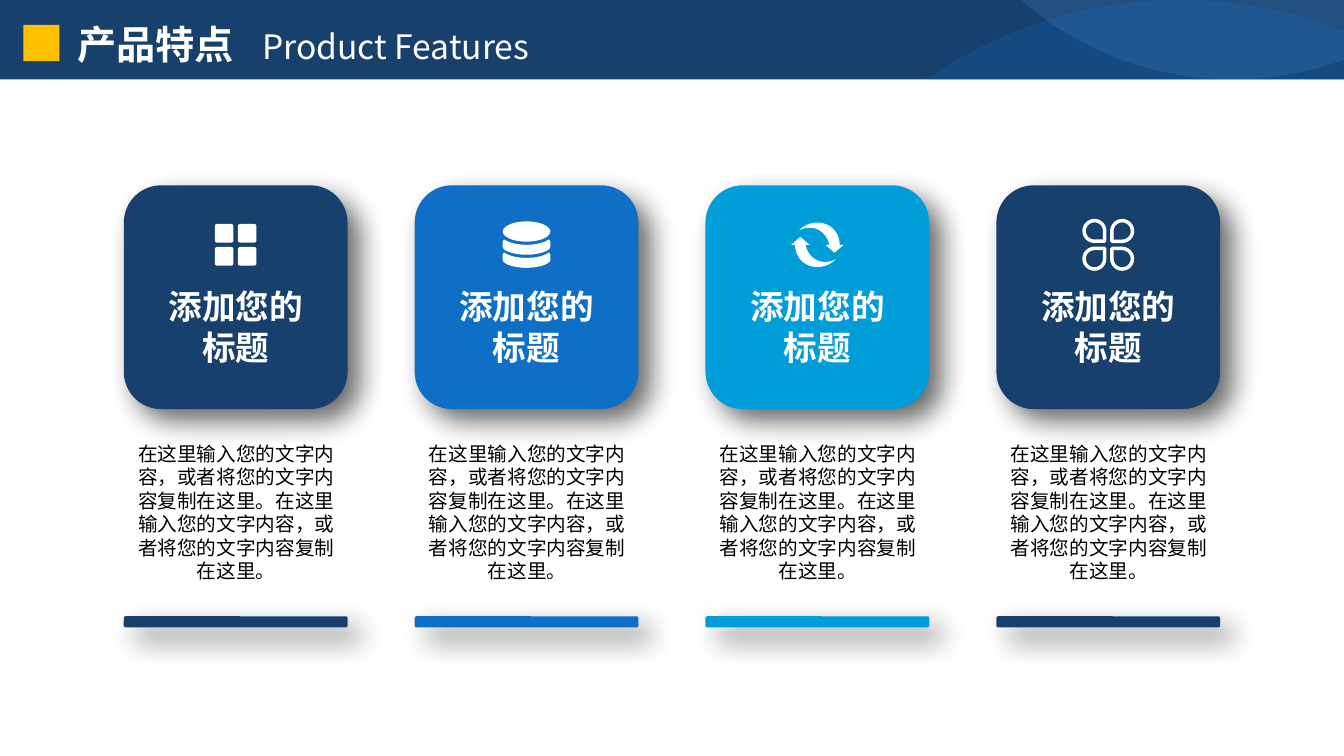
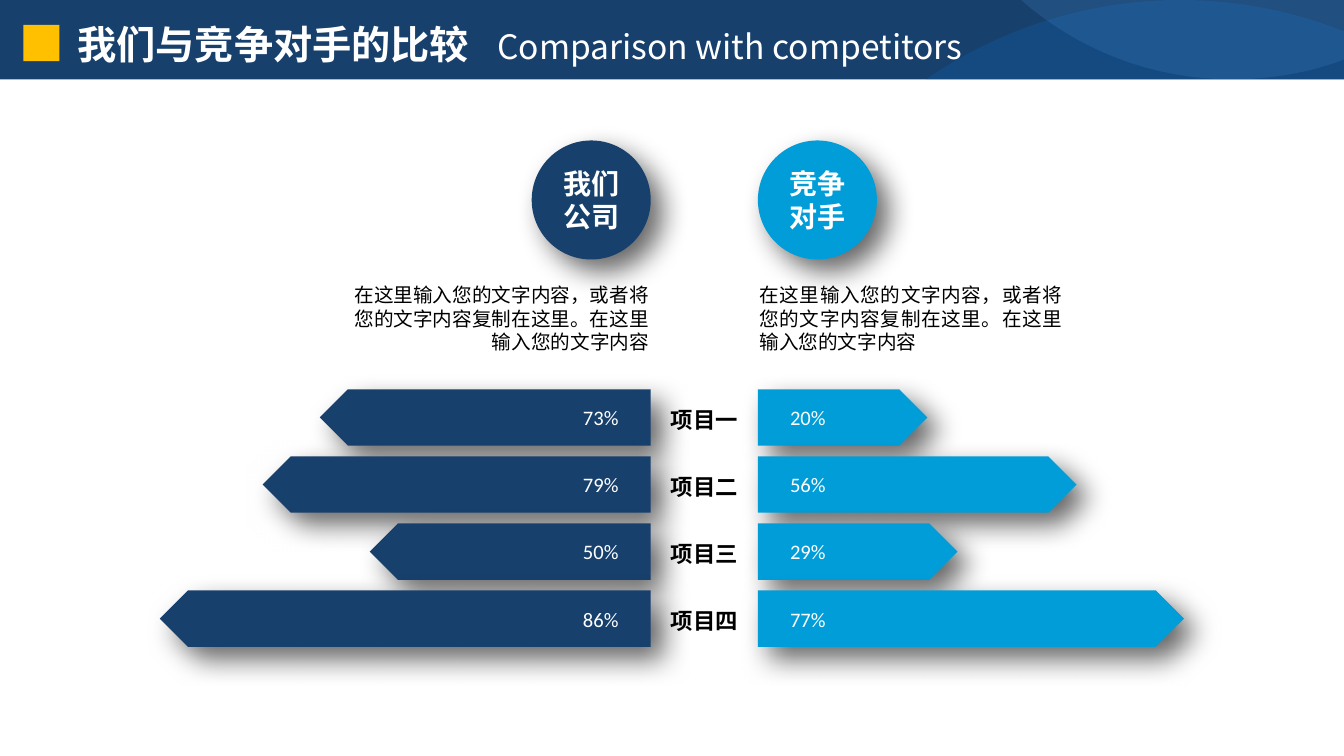
from lxml.etree import SubElement
from pptx import Presentation
from pptx.dml.color import RGBColor as RGB
from pptx.enum.shapes import MSO_SHAPE as SHAPE
from pptx.enum.text import MSO_ANCHOR as ANCHOR, MSO_AUTO_SIZE as AUTO, PP_ALIGN as ALIGN
from pptx.oxml.ns import qn
from pptx.util import Cm, Pt

C = {
    "navy": "17406D", "blue": "0F6FC6", "cyan": "009DD9", "pale": "59AAF2",
    "gold": "FFC000", "white": "FFFFFF", "black": "000000",
}
CJK, LATIN = "Noto Sans CJK SC", "Calibri"
SLIDE_W, SLIDE_H, BAND_H = 33.87, 19.05, 2
LINE = 1.2  # line pitch in text sizes
PHRASE = "在这里输入您的文字内容，或者将您的文字内容复制在这里。"


# --- Text ---
def add_run(p, text, size=14, color="black", bold=False, font=CJK):
    r = p.add_run()
    r.text = text
    r.font.size, r.font.bold, r.font.name = Pt(size), bold, font
    r.font.color.rgb = RGB.from_string(C[color])
    SubElement(r.font._element, qn("a:ea")).set("typeface", font)
    return r


def add_text(s, box, text, align=ALIGN.LEFT, size=14, **fmt):
    """Place text in a box (left, top, width, height); each line is a paragraph."""
    tf = s.shapes.add_textbox(*map(Cm, box)).text_frame
    tf.word_wrap = True
    for i, line in enumerate(text.split("\n")):
        p = tf.add_paragraph() if i else tf.paragraphs[0]
        p.alignment, p.line_spacing = align, Pt(round(size * LINE, 1))
        add_run(p, line, size=size, **fmt)
    return tf


# --- Shapes ---
def paint(sp, color, alpha=None, shadow=False):
    sp.fill.solid()
    sp.fill.fore_color.rgb = RGB.from_string(C[color])
    sp.line.fill.background()
    sp.shadow.inherit = False
    spPr = sp.element.spPr
    if alpha is not None:
        clr = spPr.find(qn("a:solidFill")).find(qn("a:srgbClr"))
        SubElement(clr, qn("a:alpha")).set("val", str(alpha * 1000))
    if shadow:
        outer = SubElement(spPr.find(qn("a:effectLst")), qn("a:outerShdw"))
        for key, val in (("blurRad", Pt(20)), ("dist", Pt(12)), ("dir", 45 * 60000),
                         ("algn", "tl"), ("rotWithShape", 0)):
            outer.set(key, str(val))
        clr = SubElement(outer, qn("a:srgbClr"))
        clr.set("val", C["black"])
        SubElement(clr, qn("a:alpha")).set("val", "60000")
    return sp


def add_shape(shapes, kind, box, color, **look):
    return paint(shapes.add_shape(kind, *map(Cm, box)), color, **look)


def outline(path, steps=16):
    """Turn 2-number line points and 6-number curve segments into points."""
    points = [path[0]]
    for seg in path[1:]:
        if len(seg) == 2:
            points.append(seg)
            continue
        x0, y0 = points[-1]
        x1, y1, x2, y2, x3, y3 = seg
        for i in range(1, steps + 1):
            t = i / steps
            a, b, c, d = (1 - t) ** 3, 3 * t * (1 - t) ** 2, 3 * t * t * (1 - t), t ** 3
            points.append((a * x0 + b * x1 + c * x2 + d * x3,
                           a * y0 + b * y1 + c * y2 + d * y3))
    return points


def add_outline(shapes, path, color, x=0, y=0, sign=1, alpha=None):
    points = [(Cm(x + sign * px), Cm(y + sign * py)) for px, py in outline(path)]
    builder = shapes.build_freeform(*points[0], scale=1.0)
    builder.add_line_segments(points[1:], close=True)
    return paint(builder.convert_to_shape(), color, alpha)


# --- Header band and title ---
HILL = [(29.74, 0), (31.19, 0, 32.59, 0.28, SLIDE_W, 0.79), (SLIDE_W, BAND_H),
        (23.34, BAND_H), (25.17, 0.74, 27.38, 0, 29.74, 0)]
BOWL = [(SLIDE_W, 0), (SLIDE_W, 1.5), (33.01, 1.83, 32.03, BAND_H, 31.04, BAND_H),
        (29.01, BAND_H, 27.15, 1.24, 25.73, 0)]


def new_slide(prs, title, subtitle):
    s = prs.slides.add_slide(prs.slide_layouts[5])
    band = s.shapes.add_group_shape().shapes
    add_shape(band, SHAPE.RECTANGLE, (0, 0, SLIDE_W, BAND_H), "navy")
    add_outline(band, HILL, "blue", alpha=23)
    add_outline(band, BOWL, "pale", alpha=15)

    sp = s.shapes.title
    sp.element.getparent().append(sp.element)  # bring in front of the band
    sp.left, sp.top, sp.width, sp.height = map(Cm, (1.7, 0.38, 24.6, 1.45))
    tf = sp.text_frame
    tf.word_wrap, tf.auto_size, tf.vertical_anchor = True, AUTO.NONE, ANCHOR.TOP
    p = tf.paragraphs[0]
    p.alignment, p.line_spacing = ALIGN.LEFT, Pt(28 * LINE)
    tab = SubElement(SubElement(p._p.get_or_add_pPr(), qn("a:tabLst")), qn("a:tab"))
    tab.set("pos", str(Pt(28 * len(title)) + Cm(0.7)))
    tab.set("algn", "l")
    add_run(p, title + "\t", size=28, color="white", bold=True)
    add_run(p, subtitle, size=24, color="white")

    add_shape(s.shapes, SHAPE.RECTANGLE, (0.59, 0.63, 0.91, 0.91), "gold")
    return s


# --- Icons, each drawn around a centre ---
QUARTERS = ((-1, -1, 90), (1, -1, 180), (1, 1, 270), (-1, 1, 0))
DISC = [(0, 0), (-0.27, 0, -0.48, -0.07, -0.57, -0.14), (-0.6, -0.08), (-0.6, 0.05),
        (-0.6, 0.15, -0.32, 0.25, 0, 0.25), (0.32, 0.25, 0.6, 0.15, 0.6, 0.05),
        (0.6, -0.08), (0.57, -0.14), (0.48, -0.07, 0.27, 0, 0, 0)]
ARROW = [(0.56, 0), (0.56, -0.33, 0.31, -0.56, 0, -0.56),
         (-0.18, -0.56, -0.36, -0.48, -0.46, -0.36),
         (-0.38, -0.41, -0.28, -0.43, -0.18, -0.43),
         (0.05, -0.43, 0.25, -0.25, 0.3, 0), (0.2, 0), (0.43, 0.2), (0.66, 0)]


def tiles_icon(shapes, cx, cy):
    size, reach = 0.47, 0.29
    for dx, dy, _ in QUARTERS:
        box = (cx + dx * reach - size / 2, cy + dy * reach - size / 2, size, size)
        add_shape(shapes, SHAPE.ROUNDED_RECTANGLE, box, "white").adjustments[0] = 0.12


def database_icon(shapes, cx, cy):
    add_shape(shapes, SHAPE.OVAL, (cx - 0.6, cy - 0.59, 1.2, 0.51), "white")
    for dy in (0, 0.33):
        add_outline(shapes, DISC, "white", cx, cy + dy)


def cycle_icon(shapes, cx, cy):
    for sign in (1, -1):
        add_outline(shapes, ARROW, "white", cx, cy, sign)


def clover_icon(shapes, cx, cy):
    size, reach = 0.52, 0.35
    for dx, dy, turn in QUARTERS:
        box = (cx + dx * reach - size / 2, cy + dy * reach - size / 2, size, size)
        petal = add_shape(shapes, SHAPE.TEAR, box, "white")
        petal.rotation = turn
        petal.fill.background()
        petal.line.color.rgb = RGB.from_string(C["white"])
        petal.line.width = Pt(2.5)


# --- Feature slide ---
def feature_card(s, x, y, w, color, icon):
    add_shape(s.shapes, SHAPE.ROUNDED_RECTANGLE, (x, y, w, w), color, shadow=True)
    add_shape(s.shapes, SHAPE.ROUNDED_RECTANGLE, (x, y + 10.86, w, 0.28), color, shadow=True)
    icon(s.shapes.add_group_shape().shapes, x + w / 2, y + 1.5)
    add_text(s, (x + 0.24, y + 2.42, w - 0.48, 2.31), "添加您的\n标题",
             align=ALIGN.CENTER, size=24, color="white", bold=True)
    add_text(s, (x + 0.03, y + 6.33, w - 0.03, 3.84), PHRASE * 2, align=ALIGN.CENTER)


def features_slide(prs):
    s = new_slide(prs, "产品特点", "Product Features")
    cards = (("navy", tiles_icon), ("blue", database_icon),
             ("cyan", cycle_icon), ("navy", clover_icon))
    for i, (color, icon) in enumerate(cards):
        feature_card(s, 3.12 + 7.33 * i, 4.67, 5.64, color, icon)


# --- Comparison slide ---
ROW_TOP, ROW_PITCH, ROW_H = 9.81, 1.69, 1.42
LEFT_EDGE, RIGHT_EDGE = 16.4, 19.1


def comparison_side(s, edge, on_left, color, name, bars):
    """Draw one company's column outward from its inner edge."""
    def span(w, shift=0):
        return edge - w - shift if on_left else edge + shift

    add_shape(s.shapes, SHAPE.OVAL, (span(3), 3.54, 3, 3), color, shadow=True)
    add_text(s, (span(2.76, 0.12), 4.06, 2.76, 1.96), name,
             align=ALIGN.CENTER, size=20, color="white", bold=True)
    add_text(s, (span(8.13, -0.21), 7.01, 8.13, 2.06), PHRASE + "在这里输入您的文字内容",
             align=ALIGN.RIGHT if on_left else ALIGN.JUSTIFY)
    for i, (w, value) in enumerate(bars):
        y = ROW_TOP + ROW_PITCH * i
        bar = add_shape(s.shapes, SHAPE.PENTAGON, (span(w), y, w, ROW_H), color, shadow=True)
        if on_left:
            bar.element.spPr.xfrm.set("flipH", "1")
        add_text(s, (span(1.55, 0.56), y + 0.28, 1.55, 0.89), f"{value}%",
                 align=ALIGN.RIGHT if on_left else ALIGN.LEFT,
                 size=14.7, color="white", font=LATIN)


def comparison_slide(prs):
    s = new_slide(prs, "我们与竞争对手的比较", "Comparison with competitors")
    comparison_side(s, LEFT_EDGE, True, "navy", "我们\n公司",
                    ((8.34, 73), (9.78, 79), (7.08, 50), (12.37, 86)))
    comparison_side(s, RIGHT_EDGE, False, "cyan", "竞争\n对手",
                    ((4.27, 20), (8.03, 56), (5.03, 29), (10.74, 77)))
    for i, number in enumerate("一二三四"):
        box = (LEFT_EDGE, ROW_TOP + ROW_PITCH * i + 0.29, RIGHT_EDGE - LEFT_EDGE, 0.94)
        add_text(s, box, "项目" + number, align=ALIGN.CENTER, size=16, bold=True)


def main():
    prs = Presentation()
    prs.slide_width, prs.slide_height = Cm(SLIDE_W), Cm(SLIDE_H)
    features_slide(prs)
    comparison_slide(prs)
    prs.save("out.pptx")


if __name__ == "__main__":
    main()
